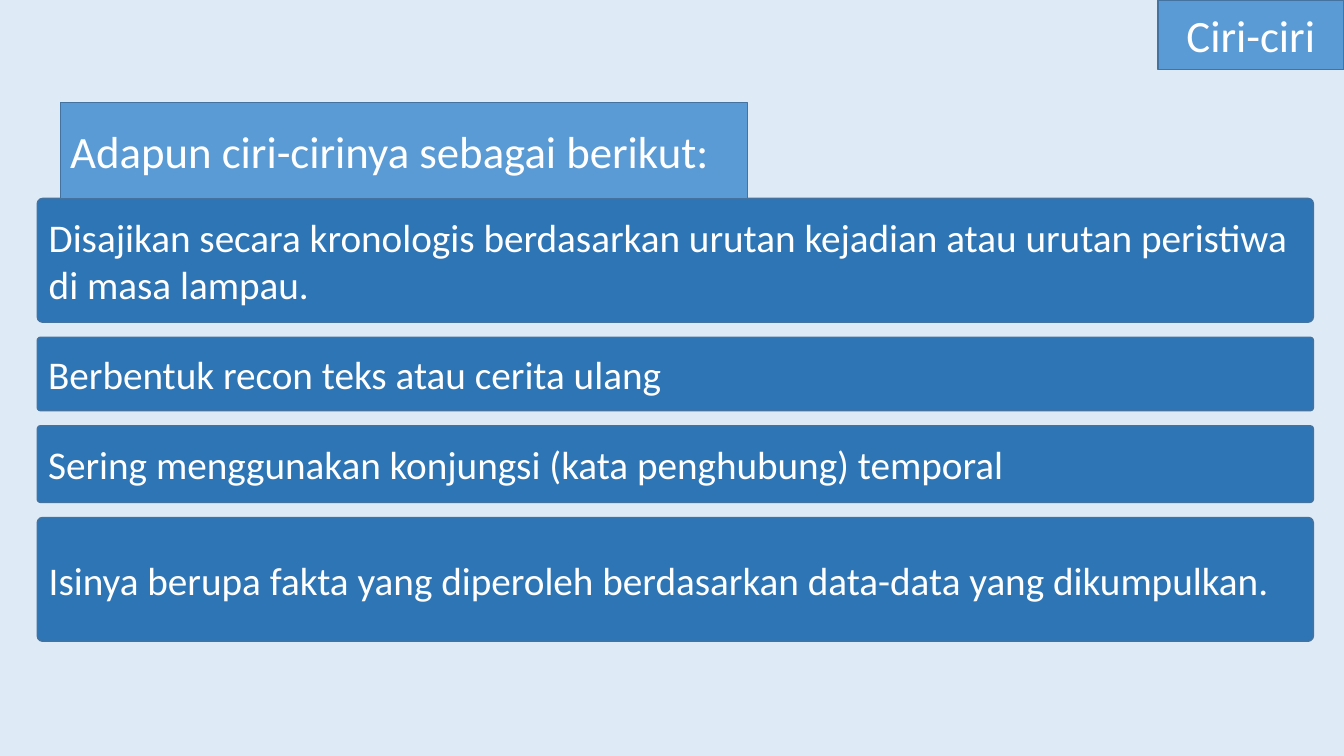
"""Builds the slide listing the traits (ciri-ciri) of a recount text."""
from dataclasses import dataclass

from pptx import Presentation
from pptx.dml.color import RGBColor
from pptx.enum.shapes import MSO_SHAPE as Preset
from pptx.enum.text import MSO_ANCHOR as Anchor, PP_ALIGN as Align
from pptx.slide import Slide
from pptx.util import Cm, Pt


@dataclass(frozen=True)
class Theme:
    font: str = "Calibri"
    background: RGBColor = RGBColor(0xDE, 0xEB, 0xF7)
    heading_fill: RGBColor = RGBColor(0x5B, 0x9B, 0xD5)
    trait_fill: RGBColor = RGBColor(0x2E, 0x75, 0xB6)
    outline: RGBColor = RGBColor(0x43, 0x73, 0x9E)
    text: RGBColor = RGBColor(0xFF, 0xFF, 0xFF)
    heading_size: int = 32
    trait_size: int = 28
    outline_width: int = 1
    corner: float = 0.043


@dataclass(frozen=True)
class Panel:
    text: str
    left: float
    top: float
    width: float
    height: float
    fill: RGBColor
    size: int
    rounded: bool = False
    align: Align = Align.LEFT


@dataclass(frozen=True)
class Trait:
    text: str
    height: float


THEME = Theme()
TRAITS_LEFT, TRAITS_TOP, TRAITS_WIDTH, TRAITS_GAP = 0.94, 5.0, 32.16, 0.38
TRAITS = (
    Trait("Disajikan secara kronologis berdasarkan urutan kejadian atau "
          "urutan peristiwa di masa lampau.", 3.12),
    Trait("Berbentuk recon teks atau cerita ulang", 1.85),
    Trait("Sering menggunakan konjungsi (kata penghubung) temporal", 1.93),
    Trait("Isinya berupa fakta yang diperoleh berdasarkan data-data yang "
          "dikumpulkan.", 3.12),
)
TOPIC = Panel("Ciri-ciri", 29.18, 0, 4.69, 1.75, THEME.heading_fill,
              THEME.heading_size, align=Align.CENTER)
INTRO = Panel("Adapun ciri-cirinya sebagai berikut:", 1.52, 2.59, 17.32, 2.41,
              THEME.heading_fill, THEME.heading_size)


def draw_panel(slide: Slide, panel: Panel) -> None:
    """Draw one filled panel with its text."""
    preset = Preset.ROUNDED_RECTANGLE if panel.rounded else Preset.RECTANGLE
    box = slide.shapes.add_shape(preset, Cm(panel.left), Cm(panel.top),
                                 Cm(panel.width), Cm(panel.height))
    if panel.rounded:
        box.adjustments[0] = THEME.corner
    box.shadow.inherit = False
    box.fill.solid()
    box.fill.fore_color.rgb = panel.fill
    box.line.color.rgb = THEME.outline
    box.line.width = Pt(THEME.outline_width)
    frame = box.text_frame
    frame.word_wrap = True
    frame.vertical_anchor = Anchor.MIDDLE
    paragraph = frame.paragraphs[0]
    paragraph.alignment = panel.align
    run = paragraph.add_run()
    run.text = panel.text
    run.font.name = THEME.font
    run.font.size = Pt(panel.size)
    run.font.color.rgb = THEME.text


def draw_traits(slide: Slide, traits: tuple[Trait, ...]) -> None:
    """Stack the traits downwards with equal gaps."""
    top = TRAITS_TOP
    for trait in traits:
        draw_panel(slide, Panel(trait.text, TRAITS_LEFT, top, TRAITS_WIDTH,
                                trait.height, THEME.trait_fill,
                                THEME.trait_size, rounded=True))
        top += trait.height + TRAITS_GAP


def main() -> None:
    """Build the slide and save it."""
    deck = Presentation()
    deck.slide_width, deck.slide_height = Cm(33.87), Cm(19.05)
    slide = deck.slides.add_slide(deck.slide_layouts[6])
    slide.background.fill.solid()
    slide.background.fill.fore_color.rgb = THEME.background
    draw_traits(slide, TRAITS)
    for heading in (TOPIC, INTRO):
        draw_panel(slide, heading)
    deck.save("out.pptx")


main()
